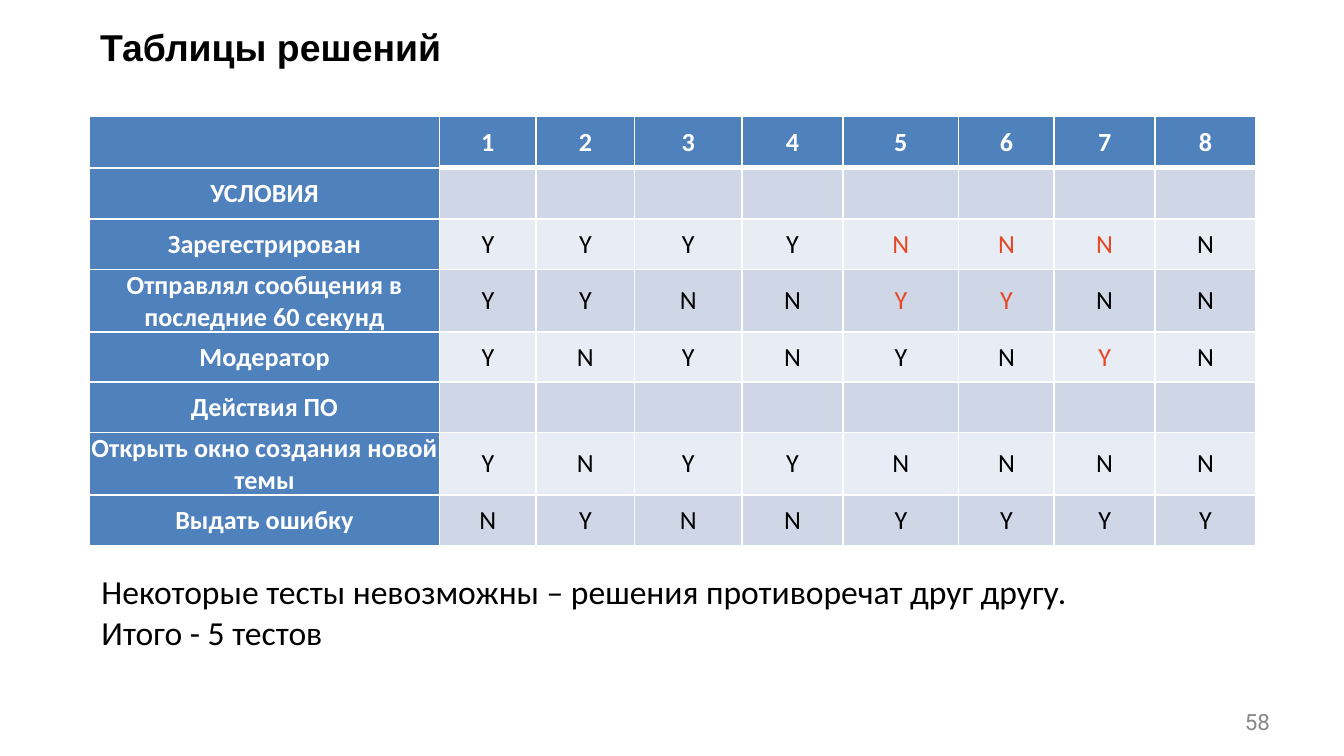
from dataclasses import dataclass

from lxml import etree
from pptx import Presentation
from pptx import util as u
from pptx.dml.color import RGBColor
from pptx.enum import text
from pptx.oxml import ns


@dataclass(frozen=True)
class Theme:
    header: str = "4F81BD"
    bands: tuple = ("CFD7E7", "E8ECF4")
    white: str = "FFFFFF"
    ink: str = "000000"
    alert: str = "E64823"
    muted: str = "888888"
    title_size: int = 20
    note_size: int = 18
    cell_size: int = 14
    number_size: int = 12
    thin: int = 1
    thick: int = 3


THEME = Theme()
WIDTH = u.Inches(10)
HEIGHT = WIDTH * 9 // 16
INSET = u.Inches(0.05)

# Boxes are left, top, width and height in percent of the slide.
TITLE_BOX = (6.95, 2.3, 69.8, 7.3)
TABLE_BOX = (6.67, 15.4, 86.8, 53.4)
NOTE_BOX = (7.05, 74.7, 80.2, 12.1)
NUMBER_BOX = (92.1, 92.8, 2.9, 5.2)

COLUMN_WEIGHTS = (260, 72, 73, 80, 75, 86, 71, 75, 75)
ROW_WEIGHTS = (38, 38, 37, 37, 37, 37, 37, 37)

# Lower-case answers mark the contradictory conditions.
RULES = (
    ("", "12345678"),
    ("УСЛОВИЯ", ""),
    ("Зарегестрирован", "YYYYnnnN"),
    ("Отправлял сообщения в последние 60 секунд", "YYNNyyNN"),
    ("Модератор", "YNYNYNyN"),
    ("Действия ПО", ""),
    ("Открыть окно создания новой темы", "YNYYNNNN"),
    ("Выдать ошибку", "NYNNYYYY"),
)
NOTES = (
    "Некоторые тесты невозможны – решения противоречат друг другу.",
    "Итого - 5 тестов",
)


def to_lengths(box):
    return [round(share * full / 100)
            for share, full in zip(box, (WIDTH, HEIGHT, WIDTH, HEIGHT))]


def set_all(target, values):
    for name, value in values.items():
        setattr(target, name, value)


def write_span(para, words, color, **font):
    span = para.add_run()
    span.text = words
    set_all(span.font, font)
    span.font.color.rgb = RGBColor.from_string(color)


def format_frame(frame, **values):
    margins = ("margin_left", "margin_top", "margin_right", "margin_bottom")
    set_all(frame, dict.fromkeys(margins, INSET))
    set_all(frame, {"auto_size": text.MSO_AUTO_SIZE.SHAPE_TO_FIT_TEXT, **values})


def place_title(page, box, words):
    title = page.shapes.title
    set_all(title, dict(zip(("left", "top", "width", "height"), to_lengths(box))))
    format_frame(title.text_frame, word_wrap=True,
                 vertical_anchor=text.MSO_ANCHOR.TOP)
    para = title.text_frame.paragraphs[0]
    para.alignment = text.PP_ALIGN.LEFT
    write_span(para, words, THEME.ink, name="Arial",
               size=u.Pt(THEME.title_size), bold=True)


def place_lines(page, box, lines, color, align, anchor, **font):
    frame = page.shapes.add_textbox(*to_lengths(box)).text_frame
    format_frame(frame, word_wrap=False, vertical_anchor=anchor)
    for index, line in enumerate(lines):
        para = frame.add_paragraph() if index else frame.paragraphs[0]
        para.alignment = align
        write_span(para, line, color, **font)


def draw_borders(cell, widths):
    for side, points in widths.items():
        line = etree.SubElement(cell._tc.get_or_add_tcPr(), ns.qn(f"a:ln{side}"),
                                w=str(u.Pt(points)))
        fill = etree.SubElement(line, ns.qn("a:solidFill"))
        etree.SubElement(fill, ns.qn("a:srgbClr"), val=THEME.white)


def fill_cell(cell, words, row, column):
    heading = row == 0 or column == 0
    widths = dict.fromkeys("LRTB", THEME.thin)
    if column and row < 2:
        widths["T" if row else "B"] = THEME.thick
    draw_borders(cell, widths)

    back = THEME.header if heading else THEME.bands[(row - 1) % 2]
    cell.fill.solid()
    cell.fill.fore_color.rgb = RGBColor.from_string(back)
    set_all(cell, {"margin_left": 0, "margin_top": 0, "margin_right": 0,
                   "margin_bottom": 0, "vertical_anchor": text.MSO_ANCHOR.MIDDLE})
    if not words:
        return
    para = cell.text_frame.paragraphs[0]
    para.alignment = text.PP_ALIGN.CENTER
    font = {"name": "Calibri", "size": u.Pt(THEME.cell_size), "bold": heading}
    if heading:
        write_span(para, words, THEME.white, **font)
    else:
        color = THEME.alert if words.islower() else THEME.ink
        write_span(para, words.upper(), color, **font)


def place_decision_table(page, box):
    left, top, width, height = to_lengths(box)
    table = page.shapes.add_table(len(ROW_WEIGHTS), len(COLUMN_WEIGHTS),
                                  left, top, width, height).table
    set_all(table, {"first_row": False, "horz_banding": False})
    for column, weight in zip(table.columns, COLUMN_WEIGHTS):
        column.width = round(width * weight / sum(COLUMN_WEIGHTS))
    for row, weight in zip(table.rows, ROW_WEIGHTS):
        row.height = round(height * weight / sum(ROW_WEIGHTS))
    answer_count = len(COLUMN_WEIGHTS) - 1
    for row, (label, answers) in enumerate(RULES):
        for column, words in enumerate((label, *answers.ljust(answer_count))):
            fill_cell(table.cell(row, column), words.strip(), row, column)


def build_decision_page(deck):
    title_only = deck.slide_layouts[5]
    page = deck.slides.add_slide(title_only)
    place_title(page, TITLE_BOX, "Таблицы решений")
    place_decision_table(page, TABLE_BOX)
    place_lines(page, NOTE_BOX, NOTES, THEME.ink, text.PP_ALIGN.LEFT,
                text.MSO_ANCHOR.TOP, name="Calibri", size=u.Pt(THEME.note_size))
    place_lines(page, NUMBER_BOX, ["58"], THEME.muted, text.PP_ALIGN.RIGHT,
                text.MSO_ANCHOR.MIDDLE, name="Roboto", size=u.Pt(THEME.number_size))


def main():
    deck = Presentation()
    set_all(deck, {"slide_width": WIDTH, "slide_height": HEIGHT})
    build_decision_page(deck)
    deck.save("out.pptx")


if __name__ == "__main__":
    main()
